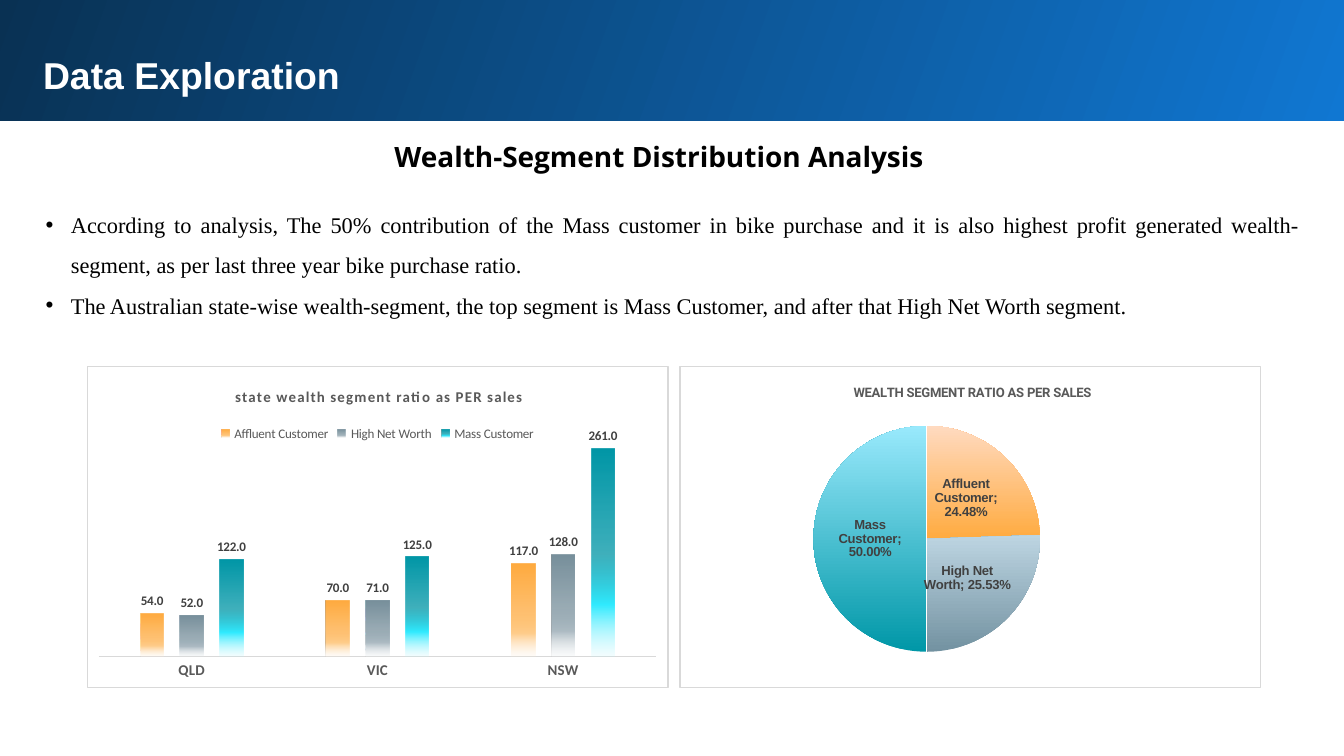
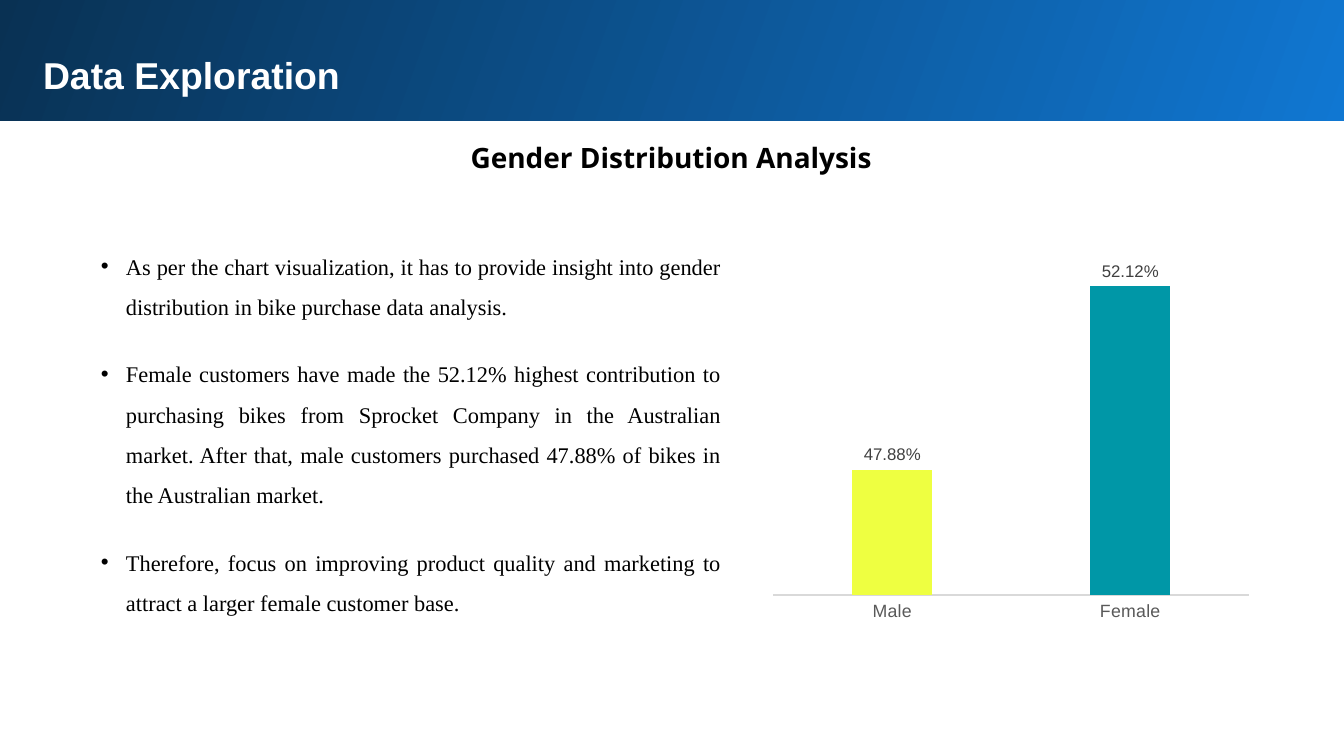
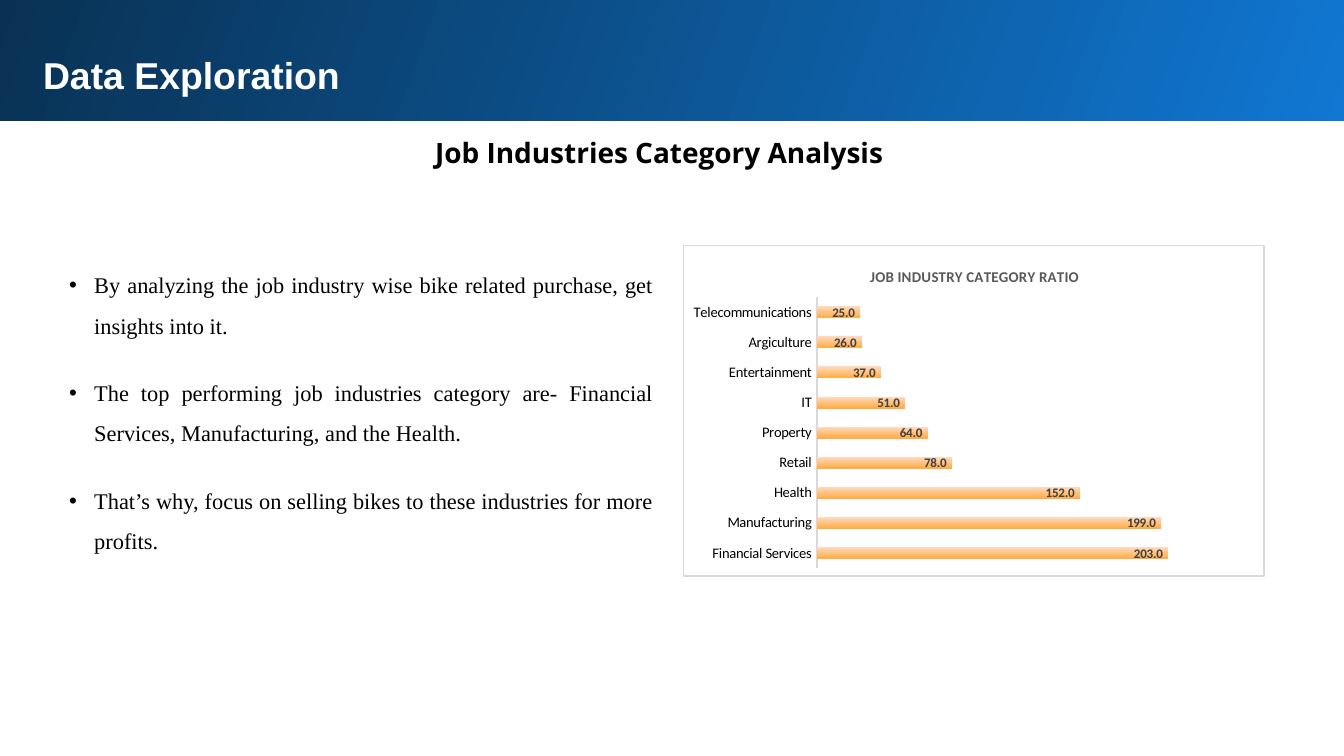
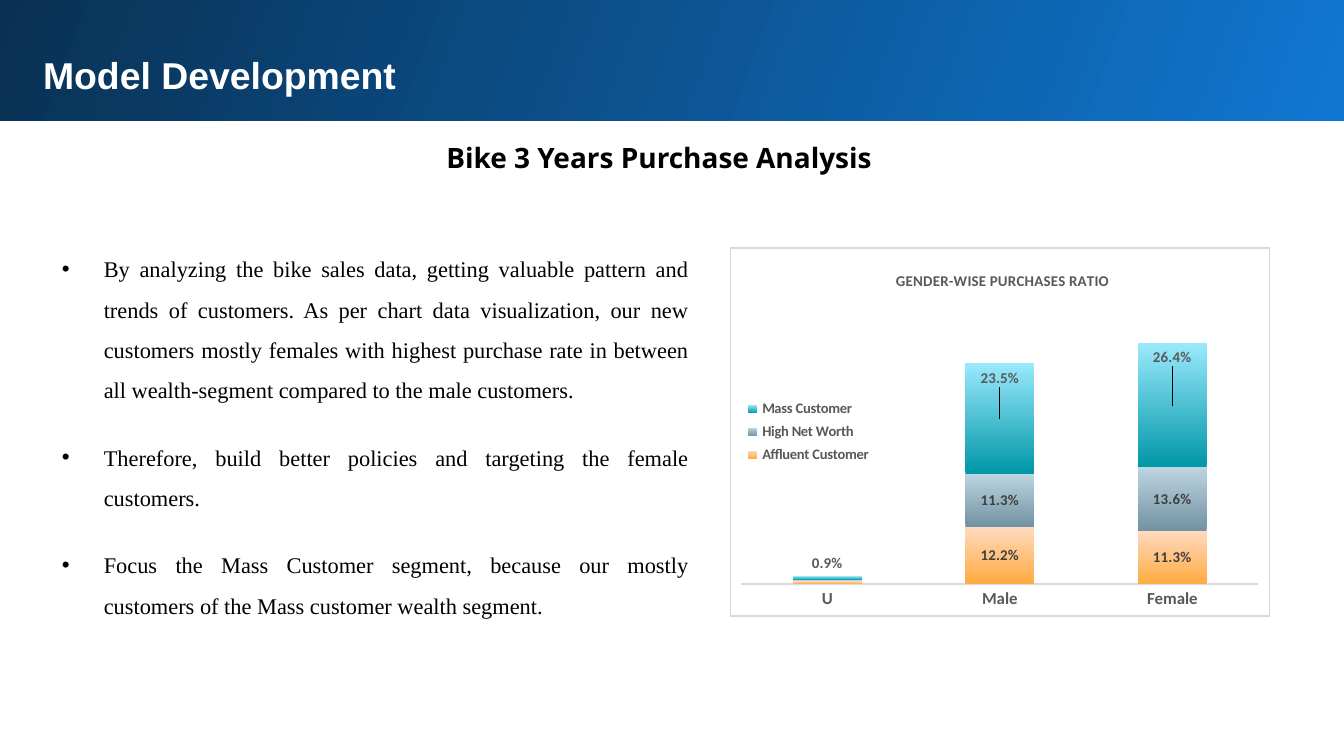
from copy import deepcopy

from pptx import Presentation
from pptx.chart.data import CategoryChartData
from pptx.dml.color import RGBColor
from pptx.enum.chart import XL_CHART_TYPE as CT, XL_LABEL_POSITION as LP
from pptx.enum.chart import XL_LEGEND_POSITION as LEGEND, XL_TICK_MARK as TICK
from pptx.enum.shapes import MSO_SHAPE
from pptx.enum.text import MSO_ANCHOR, MSO_AUTO_SIZE, PP_ALIGN
from pptx.oxml import parse_xml
from pptx.oxml.ns import nsdecls, qn
from pptx.util import Pt

WHITE = RGBColor(0xFF, 0xFF, 0xFF)
BLACK = RGBColor(0, 0, 0)
DARK = RGBColor(0x40, 0x40, 0x40)
GREY = RGBColor(0x59, 0x59, 0x59)
RULE = RGBColor(0xD9, 0xD9, 0xD9)
NAVY = RGBColor(0x09, 0x31, 0x53)
BLUE = RGBColor(0x10, 0x77, 0xD2)
LIME = RGBColor(0xEE, 0xFF, 0x41)
TEAL = RGBColor(0x00, 0x97, 0xA7)
PALE_TEAL = RGBColor(0x99, 0xE9, 0xFC)
BRIGHT_TEAL = RGBColor(0x31, 0xEB, 0xFF)
ICE = RGBColor(0xBA, 0xF8, 0xFF)
ORANGE = RGBColor(0xFF, 0xAB, 0x40)
PEACH = RGBColor(0xFF, 0xDA, 0xC0)
LIGHT_ORANGE = RGBColor(0xFF, 0xCD, 0x8C)
CREAM = RGBColor(0xFF, 0xEE, 0xD9)
SLATE = RGBColor(0x73, 0x92, 0xA1)
PALE_SLATE = RGBColor(0xBD, 0xD5, 0xE2)
STEEL = RGBColor(0x78, 0x90, 0x9C)
LIGHT_STEEL = RGBColor(0xAE, 0xBC, 0xC4)
MIST = RGBColor(0xE4, 0xE9, 0xEB)

SEGMENTS = ["Affluent Customer", "High Net Worth", "Mass Customer"]


def ramp(start, end):
    """Two-stop gradient running upwards."""
    return [(0, start, 100), (100, end, 100)], 270


def fade(base, light, pale):
    """Gradient running downwards that fades out at the foot."""
    return [(0, base, 100), (51, base, 75), (75, light, 100), (100, pale, 15)], 90


BAND_FILL = [(0, BLUE, 100), (100, NAVY, 100)], 200
RAMPS = [ramp(ORANGE, PEACH), ramp(SLATE, PALE_SLATE), ramp(TEAL, PALE_TEAL)]
FADES = [fade(ORANGE, LIGHT_ORANGE, CREAM), fade(STEEL, LIGHT_STEEL, MIST),
         fade(TEAL, BRIGHT_TEAL, ICE)]

TITLE_FONT = dict(size=Pt(20), name="Arial", color=WHITE, bold=True)
HEADING_FONT = dict(size=Pt(15), name="Open Sans", color=BLACK, bold=True)
BODY_FONT = dict(size=Pt(12), name="Times New Roman", color=BLACK, bold=False)
FRAME = dict(margin_left=Pt(7.2), margin_right=Pt(7.2), margin_top=Pt(7.2),
             margin_bottom=Pt(7.2), word_wrap=True, vertical_anchor=MSO_ANCHOR.TOP,
             auto_size=MSO_AUTO_SIZE.SHAPE_TO_FIT_TEXT)


def calibri(size, color=GREY, bold=True):
    return dict(size=Pt(size), name="Calibri", color=color, bold=bold)


def apply(obj, values):
    for name, value in values.items():
        if name == "color":
            obj.color.rgb = value
        else:
            setattr(obj, name, value)


def move(sp, box):
    apply(sp, dict(zip(("left", "top", "width", "height"), map(Pt, box))))


def paint(fill, paint_value):
    """Fill with one colour or with a (stops, angle) gradient."""
    if isinstance(paint_value, RGBColor):
        fill.solid()
        fill.fore_color.rgb = paint_value
        return
    stops, angle = paint_value
    gs = "".join(
        f'<a:gs pos="{pos * 1000}"><a:srgbClr val="{color}">'
        f'<a:alpha val="{alpha * 1000}"/></a:srgbClr></a:gs>'
        for pos, color, alpha in stops)
    fill.background()
    xPr = fill._xPr
    xPr.replace(xPr.find(qn("a:noFill")), parse_xml(
        f'<a:gradFill {nsdecls("a")} rotWithShape="1"><a:gsLst>{gs}</a:gsLst>'
        f'<a:lin ang="{angle * 60000}" scaled="0"/></a:gradFill>'))


def write(sp, text, font, **para):
    tf = sp.text_frame
    apply(tf, FRAME)
    p = tf.paragraphs[0]
    p.text = text
    apply(p, para)
    apply(p.runs[0].font, font)


def add_slide(prs, title, heading, heading_left=15.84, heading_top=65.5, spacing=1.15,
              band_left=-1.5):
    slide = prs.slides.add_slide(prs.slide_layouts[1])
    sp = slide.shapes.title
    move(sp, (15.84, 20.88, 674.64, 36.72))
    write(sp, title, TITLE_FONT, alignment=PP_ALIGN.LEFT)

    band = slide.shapes.add_shape(MSO_SHAPE.RECTANGLE, Pt(band_left), Pt(-1.5),
                                  Pt(723.5), Pt(66.3))
    band.shadow.inherit = False
    band.line.fill.background()
    paint(band.fill, BAND_FILL)
    sp.element.addprevious(band.element)

    box = slide.shapes.add_textbox(Pt(heading_left), Pt(heading_top), Pt(674.64), Pt(34))
    write(box, heading, HEADING_FONT, alignment=PP_ALIGN.CENTER, line_spacing=spacing)
    return slide


def add_bullets(slide, box, items, gap=14.5, indent=13.5):
    sp = slide.placeholders[1]
    move(sp, box)
    tf = sp.text_frame
    apply(tf, FRAME)
    for i, item in enumerate(items):
        p = tf.paragraphs[0] if i == 0 else tf.add_paragraph()
        pPr = p._p.get_or_add_pPr()
        pPr.set("marL", str(Pt(indent)))
        pPr.set("indent", str(-Pt(indent)))
        pPr.append(parse_xml(f'<a:buChar {nsdecls("a")} char="•"/>'))
        apply(p, dict(alignment=PP_ALIGN.JUSTIFY, line_spacing=1.5,
                      space_before=Pt(gap if i else 0), space_after=Pt(0)))
        r = p.add_run()
        r.text = item
        apply(r.font, BODY_FONT)


def layout_xml(target="", modes=True, **fractions):
    mode = "".join(f'<c:{k}Mode val="edge"/>' for k in ("x", "y")) if modes else ""
    values = "".join(f'<c:{k} val="{v}"/>' for k, v in fractions.items())
    return (f'<c:layout {nsdecls("c")}><c:manualLayout>{target}{mode}{values}'
            f'</c:manualLayout></c:layout>')


def set_layout(parent, index, target="", **fractions):
    """Place a chart part by fractions of the chart's size."""
    old = parent.find(qn("c:layout"))
    if old is not None:
        parent.remove(old)
    parent.insert(index, parse_xml(layout_xml(target, **fractions)))


def add_chart(slide, kind, box, categories, series, plot_box, number_format, label):
    """series is a list of (name, values, fill)."""
    data = CategoryChartData(number_format=number_format)
    data.categories = categories
    for name, values, _ in series:
        data.add_series(name, values)
    chart = slide.shapes.add_chart(kind, *map(Pt, box), data).chart
    chart.has_title = chart.has_legend = False
    apply(chart.font, dict(size=Pt(10), name="Arial", color=BLACK))
    set_layout(chart._chartSpace.chart.plotArea, 0, '<c:layoutTarget val="inner"/>',
               **dict(zip("xywh", plot_box)))
    chart.plots[0].vary_by_categories = kind == CT.PIE
    position, font = label
    for ser, (_, _, fill) in zip(chart.plots[0].series, series):
        if isinstance(fill, list):
            for i, point_fill in enumerate(fill):
                paint(ser.points[i].format.fill, point_fill)
        else:
            paint(ser.format.fill, fill)
        labels = ser.data_labels
        apply(labels, dict(show_value=True, show_category_name=kind == CT.PIE,
                           number_format=number_format, number_format_is_linked=False,
                           position=position))
        apply(labels.font, font)
    return chart


def set_axes(chart, font, low, high, line=0.75, **plot):
    apply(chart.plots[0], plot)
    axis = chart.category_axis
    axis.has_major_gridlines = False
    axis.major_tick_mark = axis.minor_tick_mark = TICK.NONE
    apply(axis.tick_labels.font, font)
    axis.format.line.width = Pt(line)
    axis.format.line.color.rgb = RULE
    apply(chart.value_axis, dict(visible=False, has_major_gridlines=False,
                                 minimum_scale=low, maximum_scale=high))


def set_frame(chart):
    """White chart area with a thin grey border."""
    chart._chartSpace.chart.addnext(parse_xml(
        f'<c:spPr {nsdecls("c", "a")}><a:solidFill><a:srgbClr val="{WHITE}"/></a:solidFill>'
        f'<a:ln w="{Pt(0.75)}"><a:solidFill><a:srgbClr val="{RULE}"/></a:solidFill></a:ln>'
        f'</c:spPr>'))


def set_title(chart, text, font, x, y, letter_spacing=0):
    title = chart.chart_title
    p = title.text_frame.paragraphs[0]
    r = p.add_run()
    r.text = text
    apply(r.font, font)
    if letter_spacing:
        r._r.get_or_add_rPr().set("spc", str(letter_spacing))
    set_layout(title._element, 1, x=x, y=y)


def set_legend(chart, position, font, box):
    chart.has_legend = True
    legend = chart.legend
    legend.position = position
    legend.include_in_layout = True
    apply(legend.font, font)
    set_layout(legend._element, 1, **dict(zip("xywh", box)))


def hide_label(ser, idx):
    ser.data_labels._element.insert(0, parse_xml(
        f'<c:dLbl {nsdecls("c")}><c:idx val="{idx}"/><c:delete val="1"/></c:dLbl>'))


def shift_labels(ser, shifts):
    """Move each point's label vertically by a fraction of the chart's height."""
    dLbls = ser.data_labels._element
    shared = [deepcopy(el) for el in dLbls if el.tag != qn("c:showLeaderLines")]
    for idx, shift in enumerate(shifts):
        dLbl = parse_xml(f'<c:dLbl {nsdecls("c")}><c:idx val="{idx}"/>'
                         f'{layout_xml(modes=False, x=0, y=shift)}</c:dLbl>')
        for el in shared:
            dLbl.append(deepcopy(el))
        dLbls.insert(idx, dLbl)


def wealth_slide(prs):
    slide = add_slide(prs, "Data Exploration", "Wealth-Segment Distribution Analysis",
                      heading_top=64.8)
    add_bullets(slide, (17.28, 98.64, 686.88, 79.92), [
        "According to analysis, The 50% contribution of the Mass customer in bike purchase "
        "and it is also highest profit generated wealth-segment, as per last three year "
        "bike purchase ratio.",
        "The Australian state-wise wealth-segment, the top segment is Mass Customer, and "
        "after that High Net Worth segment.",
    ], gap=0)
    pie = add_chart(
        slide, CT.PIE, (363.9, 195.84, 311.76, 172.8), SEGMENTS,
        [("Series 1", (0.2448, 0.2553, 0.5), RAMPS)], (0.23, 0.185, 0.39, 0.705), "0.00%",
        (LP.CENTER, dict(size=Pt(7), name="Arial", color=DARK, bold=True)))
    set_frame(pie)
    set_title(pie, "WEALTH SEGMENT RATIO AS PER SALES",
              dict(size=Pt(7), name="Roboto", color=GREY, bold=True), 0.295, 0.05)

    sales = [(54, 70, 117), (52, 71, 128), (122, 125, 261)]
    states = add_chart(
        slide, CT.COLUMN_CLUSTERED, (46.4, 195.84, 311.76, 172.8), ["QLD", "VIC", "NSW"],
        list(zip(SEGMENTS, sales, FADES)), (0.02, 0.16, 0.96, 0.745), "0.0",
        (LP.OUTSIDE_END, calibri(7, DARK)))
    set_axes(states, calibri(8), 0, 300, gap_width=355, overlap=-70)
    set_frame(states)
    set_title(states, "state wealth segment ratio as PER sales", calibri(8), 0.25, 0.057,
              letter_spacing=50)
    set_legend(states, LEGEND.TOP, calibri(7, bold=False), (0.22, 0.175, 0.56, 0.07))


def gender_slide(prs):
    slide = add_slide(prs, "Data Exploration", "Gender Distribution Analysis",
                      heading_left=22.32)
    add_bullets(slide, (46.8, 120.96, 347.04, 218.16), [
        "As per the chart visualization, it has to provide insight into gender distribution "
        "in bike purchase data analysis.",
        "Female customers have made the 52.12% highest contribution to purchasing bikes from "
        "Sprocket Company in the Australian market. After that, male customers purchased "
        "47.88% of bikes in the Australian market.",
        "Therefore, focus on improving product quality and marketing to attract a larger "
        "female customer base.",
    ])
    chart = add_chart(
        slide, CT.COLUMN_CLUSTERED, (408.96, 128.88, 265.68, 208.8), ["Male", "Female"],
        [("Series 1", (0.4788, 0.5212), [LIME, TEAL])], (0.02, 0.02, 0.96, 0.89), "0.00%",
        (LP.OUTSIDE_END, dict(size=Pt(9), name="Arial", color=DARK, bold=False)))
    set_axes(chart, dict(size=Pt(9.5), name="Arial", color=GREY, bold=False), 0.45, 0.53,
             gap_width=199)


def industry_slide(prs):
    slide = add_slide(prs, "Data Exploration", "Job Industries Category Analysis", spacing=1)
    add_bullets(slide, (29.8, 131.04, 327.6, 174.24), [
        "By analyzing the job industry wise bike related purchase, get insights into it.",
        "The top performing job industries category are- Financial Services, Manufacturing, "
        "and the Health.",
        "That’s why, focus on selling bikes to these industries for more profits.",
    ])
    industries = ["Financial Services", "Manufacturing", "Health", "Retail", "Property", "IT",
                  "Entertainment", "Argiculture", "Telecommunications"]
    chart = add_chart(
        slide, CT.BAR_STACKED, (365.76, 131.04, 311.76, 177.84), industries,
        [("Series 1", (203, 199, 152, 78, 64, 51, 37, 26, 25), RAMPS[0])],
        (0.23, 0.157, 0.745, 0.82), "0.0", (LP.INSIDE_END, calibri(7, DARK)))
    set_axes(chart, calibri(7.8, BLACK, False), 0, 250, line=1, gap_width=150, overlap=100)
    set_frame(chart)
    set_title(chart, "JOB INDUSTRY CATEGORY RATIO", calibri(8), 0.317, 0.057)


def purchase_slide(prs):
    slide = add_slide(prs, "Model Development", "Bike 3 Years Purchase Analysis", band_left=0)
    add_bullets(slide, (25.92, 122.4, 350.64, 218.16), [
        "By analyzing the bike sales data, getting valuable pattern and trends of customers. "
        "As per chart data visualization, our new customers mostly females with highest "
        "purchase rate in between all wealth-segment compared to the male customers.",
        "Therefore, build better policies and targeting the female customers.",
        "Focus the Mass Customer segment, because our mostly customers of the Mass customer "
        "wealth segment.",
    ], indent=22.5)
    shares = [(0.006, 0.122, 0.113), (0.002, 0.113, 0.136), (0.009, 0.235, 0.264)]
    chart = add_chart(
        slide, CT.COLUMN_STACKED, (390.96, 132.48, 289.44, 198), ["U", "Male", "Female"],
        list(zip(SEGMENTS, shares, RAMPS)), (0.02, 0.148, 0.96, 0.765), "0.0%",
        (LP.CENTER, calibri(8, DARK)))
    set_axes(chart, calibri(9), 0, 0.6, line=1, gap_width=150, overlap=100)
    set_frame(chart)
    set_title(chart, "GENDER-WISE PURCHASES RATIO", calibri(8), 0.302, 0.054)
    set_legend(chart, LEGEND.LEFT, calibri(7.8), (0.02, 0.4, 0.25, 0.2))
    affluent, high, mass = chart.plots[0].series
    hide_label(affluent, 0)
    hide_label(high, 0)
    mass.data_labels.font.color.rgb = GREY
    shift_labels(mass, (-0.04, -0.11, -0.13))


def main():
    prs = Presentation()
    prs.slide_width, prs.slide_height = Pt(720), Pt(405)
    for build in (wealth_slide, gender_slide, industry_slide, purchase_slide):
        build(prs)
    prs.save("out.pptx")


if __name__ == "__main__":
    main()
